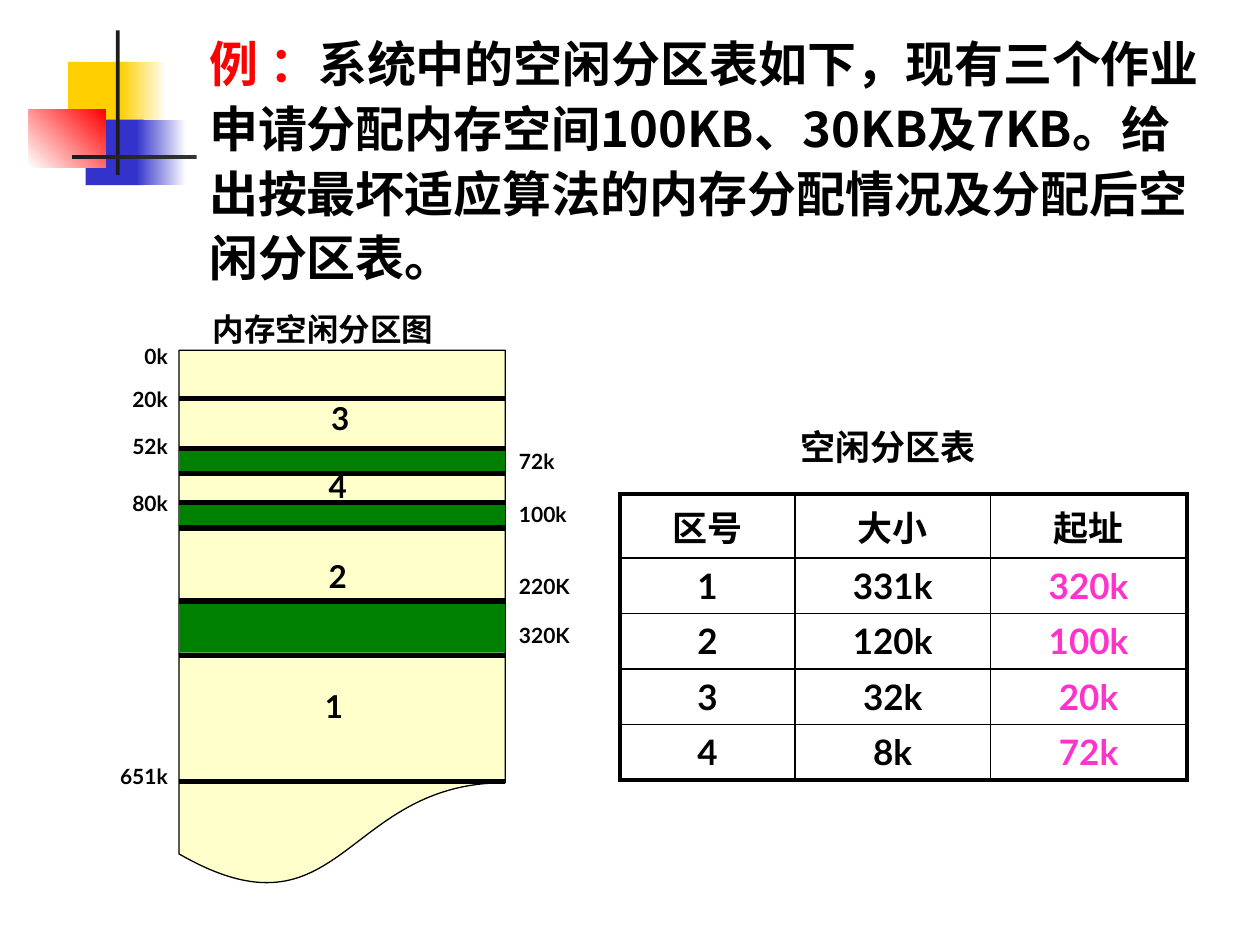
import pptx
import pptx.util
import pptx.dml.color
import pptx.enum.shapes
import pptx.enum.text
import pptx.oxml
import pptx.oxml.ns

Inches, Pt = pptx.util.Inches, pptx.util.Pt
SHAPE = pptx.enum.shapes.MSO_SHAPE
ALIGN = pptx.enum.text.PP_ALIGN
MIDDLE = pptx.enum.text.MSO_ANCHOR.MIDDLE
rgb = pptx.dml.color.RGBColor.from_string
CJK = "Noto Sans CJK SC"


def style(para, size, color="000000", font="Lato", align=ALIGN.LEFT):
    """Format every run of a paragraph in bold."""
    para.alignment = align
    for span in para.runs:
        span.font.name, span.font.size, span.font.bold = font, Pt(size), True
        span.font.color.rgb = rgb(color)
        east = pptx.oxml.parse_xml(
            f'<a:ea {pptx.oxml.ns.nsdecls("a")} typeface="{CJK}"/>')
        span.font._element.find(pptx.oxml.ns.qn("a:latin")).addnext(east)


def add_block(at, colors, angle=0, kind=SHAPE.RECTANGLE):
    """Add a borderless shape with a solid or two-colour gradient fill."""
    block = page.shapes.add_shape(kind, *map(Inches, at))
    block.shadow.inherit = False
    block.line.fill.background()
    if len(colors) == 1:
        block.fill.solid()
        block.fill.fore_color.rgb = rgb(colors[0])
    else:
        block.fill.gradient()
        block.fill.gradient_angle = angle
        for stop, color in zip(block.fill.gradient_stops, colors):
            stop.color.rgb = rgb(color)
    return block


deck = pptx.Presentation()
deck.slide_width, deck.slide_height = Inches(10), Inches(7.5)
page = deck.slides.add_slide(deck.slide_layouts[5])

# Corner decoration
for at, colors, angle in [
    ((0.54, 0.49, 0.48, 0.52), ["FFCF01"], 0),
    ((0.96, 0.49, 0.36, 0.52), ["FFCF01", "FFFFFF"], 0),
    ((0.68, 0.95, 0.46, 0.52), ["3333CC"], 0),
    ((1.08, 0.95, 0.4, 0.52), ["3333CC", "FFFFFF"], 0),
    ((0.23, 0.87, 0.61, 0.46), ["FFFFFF", "FF0000"], 45),
    ((0.92, 0.24, 0.03, 1.15), ["1C1C1C"], 0),
    ((0.57, 1.23, 9, 0.03), ["1C1C1C", "FFFFFF"], 0),
]:
    add_block(at, colors, angle)

# Title, in front of the long bar that it partly hides
title = page.shapes.title
title.element.getparent().append(title.element)
title.left, title.top = Inches(1.56), Inches(0.13)
title.width, title.height = Inches(8.08), Inches(2.16)
title.fill.solid()
title.fill.fore_color.rgb = rgb("FFFFFF")
frame = title.text_frame
frame.word_wrap = True
frame.auto_size = pptx.enum.text.MSO_AUTO_SIZE.NONE
frame.vertical_anchor = pptx.enum.text.MSO_ANCHOR.TOP
frame.margin_top, frame.margin_bottom = Inches(0.09), 0
para = frame.paragraphs[0]
para.add_run().text = "例 ："
para.add_run().text = (
    "系统中的空闲分区表如下，现有三个作业申请分配内存空间100KB、30KB及7KB。"
    "给出按最坏适应算法的内存分配情况及分配后空闲分区表。")
para.line_spacing = Pt(37)
style(para, 28, font=CJK)
para.runs[0].font.color.rgb = rgb("FF0000")

# Memory map: outline, occupied areas, boundaries
memory = add_block((1.42, 2.78, 2.59, 4.28), ["FFFFCC"],
                   kind=SHAPE.FLOWCHART_DOCUMENT)
memory.line.color.rgb = rgb("000000")
memory.line.width = Pt(0.75)
for top, height in [(3.57, 0.18), (4.01, 0.17), (4.78, 0.4)]:
    add_block((1.43, top, 2.58, height), ["008000"])
for y in (3.16, 3.56, 3.76, 3.99, 4.19, 4.77, 5.2, 6.2):
    line = page.shapes.add_connector(
        pptx.enum.shapes.MSO_CONNECTOR.STRAIGHT,
        Inches(1.42), Inches(y), Inches(4.01), Inches(y))
    line.line.color.rgb = rgb("000000")
    line.line.width = Pt(3)
    line._element.spPr.append(pptx.oxml.parse_xml(
        f'<a:effectLst {pptx.oxml.ns.nsdecls("a")}/>'))

# Address columns: spacing follows from the centre height of each label
LINE = 0.2
for at, align, labels in [
    ((0.35, 2.66, 1.08, 3.69), ALIGN.RIGHT,
     [("0k", 2.83), ("20k", 3.17), ("52k", 3.54), ("80k", 3.99), ("651k", 6.16)]),
    ((4.02, 3.08, 0.79, 2.41), ALIGN.LEFT,
     [("72k", 3.66), ("100k", 4.08), ("220K", 4.65), ("320K", 5.04)]),
]:
    box = page.shapes.add_textbox(*map(Inches, at))
    frame = box.text_frame
    frame.word_wrap = True
    frame.margin_top = Inches(labels[0][1] - LINE / 2 - at[1])
    frame.text = "\n".join(label for label, center in labels)
    for para in frame.paragraphs:
        style(para, 12, align=align)
    for para, above, below in zip(frame.paragraphs[1:], labels, labels[1:]):
        para.space_before = Inches(below[1] - above[1] - LINE)

# Captions and area numbers
for text, at, size, font, align, wrap in [
    ("内存空闲分区图", (1.59, 2.41, 2.22, 0.4), 18, "Times New Roman", ALIGN.LEFT, True),
    ("空闲分区表", (5.51, 3.33, 3.08, 0.43), 20, "Lato", ALIGN.CENTER, True),
    ("3", (2.53, 3.12, 0.36, 0.4), 18, "Lato", ALIGN.LEFT, False),
    ("4", (2.51, 3.66, 0.36, 0.4), 18, "Lato", ALIGN.LEFT, False),
    ("2", (2.51, 4.37, 0.36, 0.4), 18, "Lato", ALIGN.LEFT, False),
    ("1", (2.48, 5.4, 0.36, 0.4), 18, "Lato", ALIGN.LEFT, False),
]:
    box = page.shapes.add_textbox(*map(Inches, at))
    box.text_frame.text = text
    box.text_frame.word_wrap = wrap
    box.text_frame.vertical_anchor = MIDDLE
    style(box.text_frame.paragraphs[0], size, font=font, align=align)

# Free partition table
rows = [
    ("区号", "大小", "起址"),
    ("1", "331k", "320k"),
    ("2", "120k", "100k"),
    ("3", "32k", "20k"),
    ("4", "8k", "72k"),
]
table = page.shapes.add_table(5, 3, Inches(4.92), Inches(3.92),
                              Inches(4.5), Inches(2.25)).table
table.first_row = table.horz_banding = False
for column, width in zip(table.columns, (1.39, 1.55, 1.56)):
    column.width = Inches(width)
for r, values in enumerate(rows):
    table.rows[r].height = Inches(0.44 if r else 0.51)
    for c, value in enumerate(values):
        cell = table.cell(r, c)
        cell.text = value
        cell.vertical_anchor = MIDDLE
        cell.fill.background()
        style(cell.text_frame.paragraphs[0], 20,
              "FF33CC" if r and c == 2 else "000000", align=ALIGN.CENTER)
        # Thick frame outside, thin rules inside
        edges = [("L", c == 0), ("R", c == 2), ("T", r == 0), ("B", r == 4)]
        for i, (side, outer) in enumerate(edges):
            cell._tc.tcPr.insert(i, pptx.oxml.parse_xml(
                f'<a:ln{side} {pptx.oxml.ns.nsdecls("a")} '
                f'w="{Pt(2.25 if outer else 1)}"><a:solidFill>'
                f'<a:srgbClr val="000000"/></a:solidFill></a:ln{side}>'))

deck.save("out.pptx")
